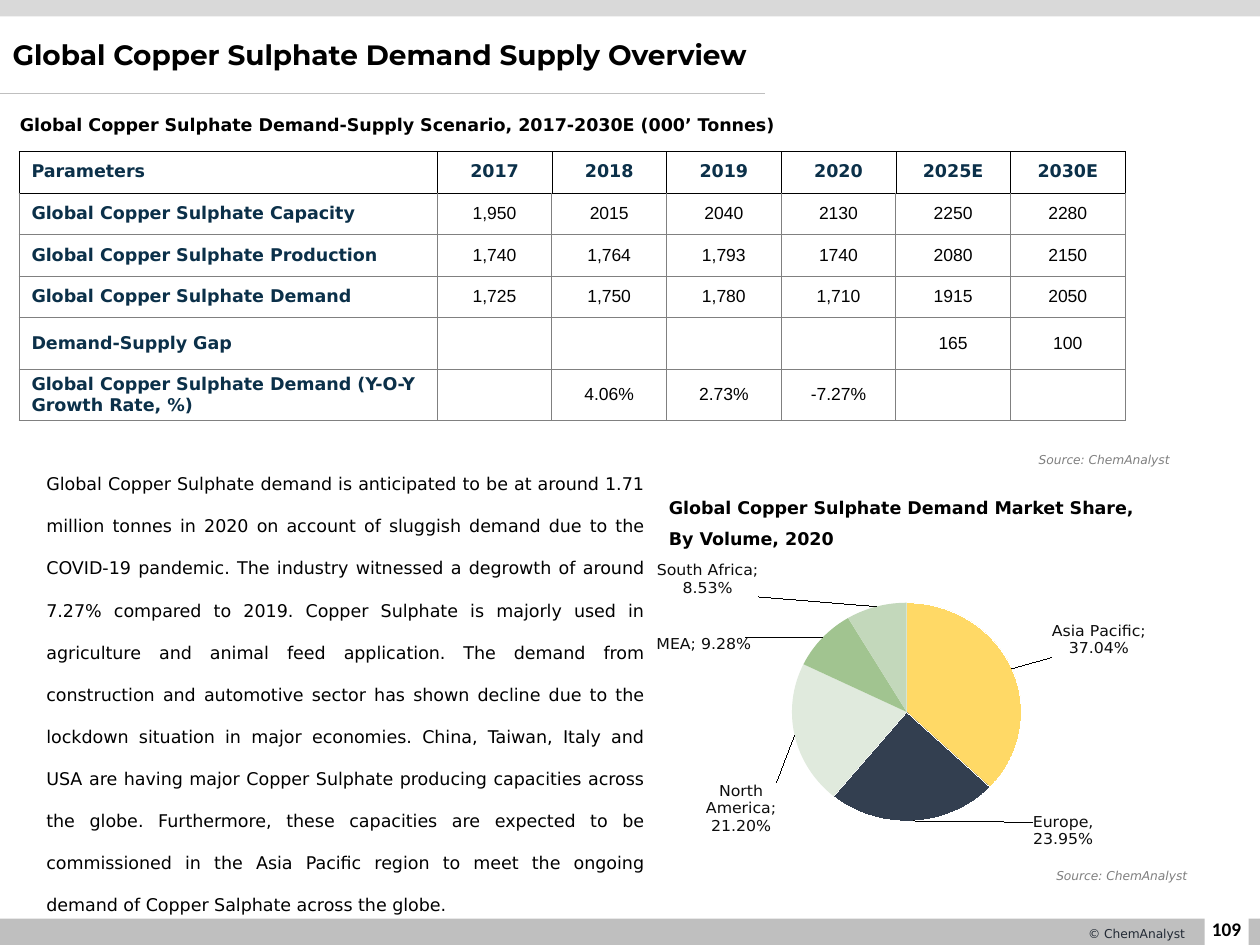
from dataclasses import dataclass

from lxml import etree
from pptx import Presentation
from pptx.chart.data import CategoryChartData
from pptx.dml.color import RGBColor
from pptx.enum.chart import XL_CHART_TYPE as Chart, XL_LABEL_POSITION as LabelPos
from pptx.enum.shapes import MSO_CONNECTOR as Connector, MSO_SHAPE as Shape
from pptx.enum.text import MSO_ANCHOR as Anchor, MSO_AUTO_SIZE as AutoSize, PP_ALIGN as Align
from pptx.oxml import parse_xml
from pptx.oxml.ns import nsdecls, qn
from pptx.util import Inches, Pt

COLS, ROWS = 100, 75  # grid of square units
UNIT = Inches(10) / COLS
SANS, NAVY, BLACK, WHITE, GREY, SILVER = (
    "DejaVu Sans", "0B3049", "000000", "FFFFFF", "808080", "BFBFBF")


@dataclass
class Box:
    col: float
    row: float
    cols: float
    rows: float

    def emu(self) -> list[int]:
        return [units(v) for v in (self.col, self.row, self.cols, self.rows)]


@dataclass
class Style:
    size: float = 10
    font: str = SANS
    color: str = BLACK
    bold: bool = False
    italic: bool = False


@dataclass
class Region:
    name: str
    share: float
    color: str
    dx: float  # label offset, as a share of the chart's size
    dy: float
    label: str = ""


def units(n: float) -> int:
    return round(n * UNIT)


def rgb(hex_color: str) -> RGBColor:
    return RGBColor.from_string(hex_color)


def style_font(font, style: Style) -> None:
    font.size, font.name = Pt(style.size), style.font
    font.bold, font.italic = style.bold, style.italic
    font.color.rgb = rgb(style.color)


def fill_text(tf, lines: list[str], style: Style, align=Align.LEFT, spacing=None) -> None:
    tf.text = "\n".join(lines)
    for p in tf.paragraphs:
        p.alignment, p.line_spacing = align, spacing
        for r in p.runs:
            style_font(r.font, style)


def add_text(s, box: Box, lines: list[str], style: Style, align=Align.LEFT,
             spacing=None, anchor=Anchor.TOP) -> None:
    tf = s.shapes.add_textbox(*box.emu()).text_frame
    tf.word_wrap, tf.vertical_anchor = True, anchor
    if anchor == Anchor.TOP:
        tf.auto_size = AutoSize.SHAPE_TO_FIT_TEXT
    fill_text(tf, lines, style, align, spacing)


def add_bar(s, box: Box, color: str) -> None:
    sp = s.shapes.add_shape(Shape.RECTANGLE, *box.emu())
    sp.shadow.inherit = False
    sp.fill.solid()
    sp.fill.fore_color.rgb = rgb(color)
    sp.line.fill.background()


def set_borders(cell, colors: dict[str, tuple[str, float]]) -> None:
    pr = cell._tc.get_or_add_tcPr()
    for i, side in enumerate("LRTB"):
        color, width = colors[side]
        pr.insert(i, parse_xml(
            f'<a:ln{side} {nsdecls("a")} w="{Pt(width)}"><a:solidFill>'
            f'<a:srgbClr val="{color}"/></a:solidFill></a:ln{side}>'))


def add_demand_table(s, box: Box, rows: list[list[str]],
                     col_units: list[float], row_units: list[float]) -> None:
    table = s.shapes.add_table(len(rows), len(col_units), *box.emu()).table
    for column, width in zip(table.columns, col_units):
        column.width = units(width)
    for i, (row, height) in enumerate(zip(rows, row_units)):
        table.rows[i].height = units(height)
        thin, rule = (BLACK, 0.25), (GREY, 0.5)
        edge = thin if i == 0 else rule
        borders = dict.fromkeys("LRTB", edge) | {"T": thin if i < 2 else rule}
        for j, text in enumerate(row):
            cell = table.cell(i, j)
            cell.fill.solid()
            cell.fill.fore_color.rgb = rgb(WHITE)
            cell.vertical_anchor = Anchor.MIDDLE
            cell.margin_left = units(1) if j == 0 else 0
            cell.margin_right = cell.margin_top = cell.margin_bottom = 0
            heading = i == 0 or j == 0
            style = Style(color=NAVY, bold=True) if heading else Style(font="Arial")
            fill_text(cell.text_frame, [text], style, Align.CENTER if j else Align.LEFT)
            set_borders(cell, borders)


def manual_layout(values: dict[str, float], target: str = "") -> str:
    modes = '<c:xMode val="edge"/><c:yMode val="edge"/>' if target else ""
    inner = "".join(f'<c:{k} val="{v}"/>' for k, v in values.items())
    return (f'<c:layout {nsdecls("c")}><c:manualLayout>{target}{modes}{inner}'
            f'</c:manualLayout></c:layout>')


def point_label(index: int, region: Region):
    text = (f'<c:tx><c:rich><a:bodyPr/><a:p><a:r><a:rPr lang="en-US"/><a:t>{region.label}</a:t>'
            f'</a:r></a:p></c:rich></c:tx>' if region.label else "")
    return parse_xml(
        f'<c:dLbl {nsdecls("c", "a")}><c:idx val="{index}"/>'
        f'{manual_layout({"x": region.dx, "y": region.dy})}{text}'
        '<c:dLblPos val="bestFit"/><c:showLegendKey val="0"/><c:showVal val="1"/>'
        '<c:showCatName val="1"/><c:showSerName val="0"/><c:showPercent val="0"/>'
        '<c:showBubbleSize val="0"/><c:separator>; </c:separator></c:dLbl>')


def add_share_pie(s, box: Box, regions: list[Region]) -> None:
    data = CategoryChartData(number_format="0.00%")
    data.categories = [region.name for region in regions]
    data.add_series("Series 1", [region.share for region in regions])
    chart = s.shapes.add_chart(Chart.PIE, *box.emu(), data).chart
    chart.has_legend = chart.has_title = False
    style_font(chart.font, Style(9))
    plot = chart.plots[0]
    plot.vary_by_categories = True
    series = plot.series[0]
    labels = series.data_labels
    labels.show_value = labels.show_category_name = True
    labels.number_format, labels.number_format_is_linked = "0.00%", False
    labels.position = LabelPos.BEST_FIT
    style_font(labels.font, Style(9, color="0D0D0D"))
    for i, region in enumerate(regions):
        fmt = series.points[i].format
        fmt.fill.solid()
        fmt.fill.fore_color.rgb = rgb(region.color)
        if i < 2:
            fmt.line.color.rgb = rgb(WHITE)
        labels._element.insert(i, point_label(i, region))
    # Leader lines and a fixed plot area
    leader = labels._element.find(qn("c:showLeaderLines"))
    if leader is None:
        leader = etree.SubElement(labels._element, qn("c:showLeaderLines"))
    leader.set("val", "1")
    area = chart._chartSpace.chart.plotArea
    for old in area.findall(qn("c:layout")):
        area.remove(old)
    area.insert(0, parse_xml(manual_layout(
        {"x": 0.225, "y": 0.146, "w": 0.457, "h": 0.759}, '<c:layoutTarget val="inner"/>')))


TABLE = [
    ["Parameters", "2017", "2018", "2019", "2020", "2025E", "2030E"],
    ["Global Copper Sulphate Capacity", "1,950", "2015", "2040", "2130", "2250", "2280"],
    ["Global Copper Sulphate Production", "1,740", "1,764", "1,793", "1740", "2080", "2150"],
    ["Global Copper Sulphate Demand", "1,725", "1,750", "1,780", "1,710", "1915", "2050"],
    ["Demand-Supply Gap", "", "", "", "", "165", "100"],
    ["Global Copper Sulphate Demand (Y-O-Y Growth Rate, %)", "", "4.06%", "2.73%", "-7.27%", "", ""],
]
REGIONS = [
    Region("Asia Pacific", 0.3704, "FFD966", 0.06, -0.03),
    Region("Europe", 0.2395, "333F50", 0.27, -0.02, "Europe, 23.95%"),
    Region("North America", 0.212, "E0EADD", -0.02, 0.16),
    Region("MEA", 0.0928, "A1C490", -0.13, 0.07),
    Region("South Africa", 0.0853, "C3D8BB", -0.21, -0.01),
]
COMMENTARY = (
    "Global Copper Sulphate demand is anticipated to be at around 1.71 million tonnes in 2020 on "
    "account of sluggish demand due to the COVID-19 pandemic. The industry witnessed a degrowth of "
    "around 7.27% compared to 2019. Copper Sulphate is majorly used in agriculture and animal feed "
    "application. The demand from construction and automotive sector has shown decline due to the "
    "lockdown situation in major economies. China, Taiwan, Italy and USA are having major Copper "
    "Sulphate producing capacities across the globe. Furthermore, these capacities are expected to "
    "be commissioned in the Asia Pacific region to meet the ongoing demand of Copper Salphate "
    "across the globe.")


def main() -> None:
    prs = Presentation()
    prs.slide_width, prs.slide_height = units(COLS), units(ROWS)
    s = prs.slides.add_slide(prs.slide_layouts[5])
    heading = Style(bold=True)

    # Page frame
    for box, color in [(Box(0, 72.9, 100.2, 2.3), SILVER), (Box(0, 0, 100.2, 0.8), "D9D9D9"),
                       (Box(95.6, 71.3, 3.5, 3.8), WHITE), (Box(-0.1, 0.5, 100.2, 0.8), "D9D9D9")]:
        add_bar(s, box, color)
    add_text(s, Box(94.9, 71.7, 4.9, 4), ["109"], Style(11, "Calibri", bold=True),
             Align.CENTER, anchor=Anchor.MIDDLE)
    add_text(s, Box(82.9, 73.3, 14.6, 1.6), ["© ChemAnalyst"], Style(7, color="222A35"),
             Align.CENTER, anchor=Anchor.MIDDLE)
    rule = s.shapes.add_connector(Connector.STRAIGHT, 0, units(7.4), units(60.7), units(7.4))
    rule.line.color.rgb, rule.line.width = rgb(SILVER), Pt(0.5)
    etree.SubElement(rule._element.spPr, qn("a:effectLst"))

    # Title
    title = s.shapes.title
    title.left, title.top, title.width, title.height = Box(0, 2, 66.8, 5).emu()
    title.text_frame.vertical_anchor = Anchor.MIDDLE
    fill_text(title.text_frame, ["Global Copper Sulphate Demand Supply Overview"],
              Style(16, "Montserrat", bold=True), spacing=0.9)

    # Demand and supply table
    add_text(s, Box(0.6, 7.7, 72.5, 3.2),
             ["Global Copper Sulphate Demand-Supply Scenario, 2017-2030E (000’ Tonnes)"],
             heading, spacing=1.5)
    add_demand_table(s, Box(1.5, 12, 87.8, 21.3), TABLE,
                     [33.2] + [9.1] * 6, [3.3] * 4 + [4.1] * 2)

    # Market share chart
    add_text(s, Box(52.1, 38.1, 45.2, 5.7),
             ["Global Copper Sulphate Demand Market Share,", "By Volume, 2020"], heading, spacing=1.5)
    add_share_pie(s, Box(52.1, 44.5, 43.8, 24), REGIONS)

    # Sources and commentary
    for col, row in [(59.9, 35.4), (61.3, 68.4)]:
        add_text(s, Box(col, row, 33.9, 2.2), ["Source: ChemAnalyst"],
                 Style(7, color=GREY, italic=True), Align.RIGHT)
    add_text(s, Box(2.7, 35.4, 49.4, 37.5), [COMMENTARY], Style(), Align.JUSTIFY, spacing=2.0)
    prs.save("out.pptx")


if __name__ == "__main__":
    main()
